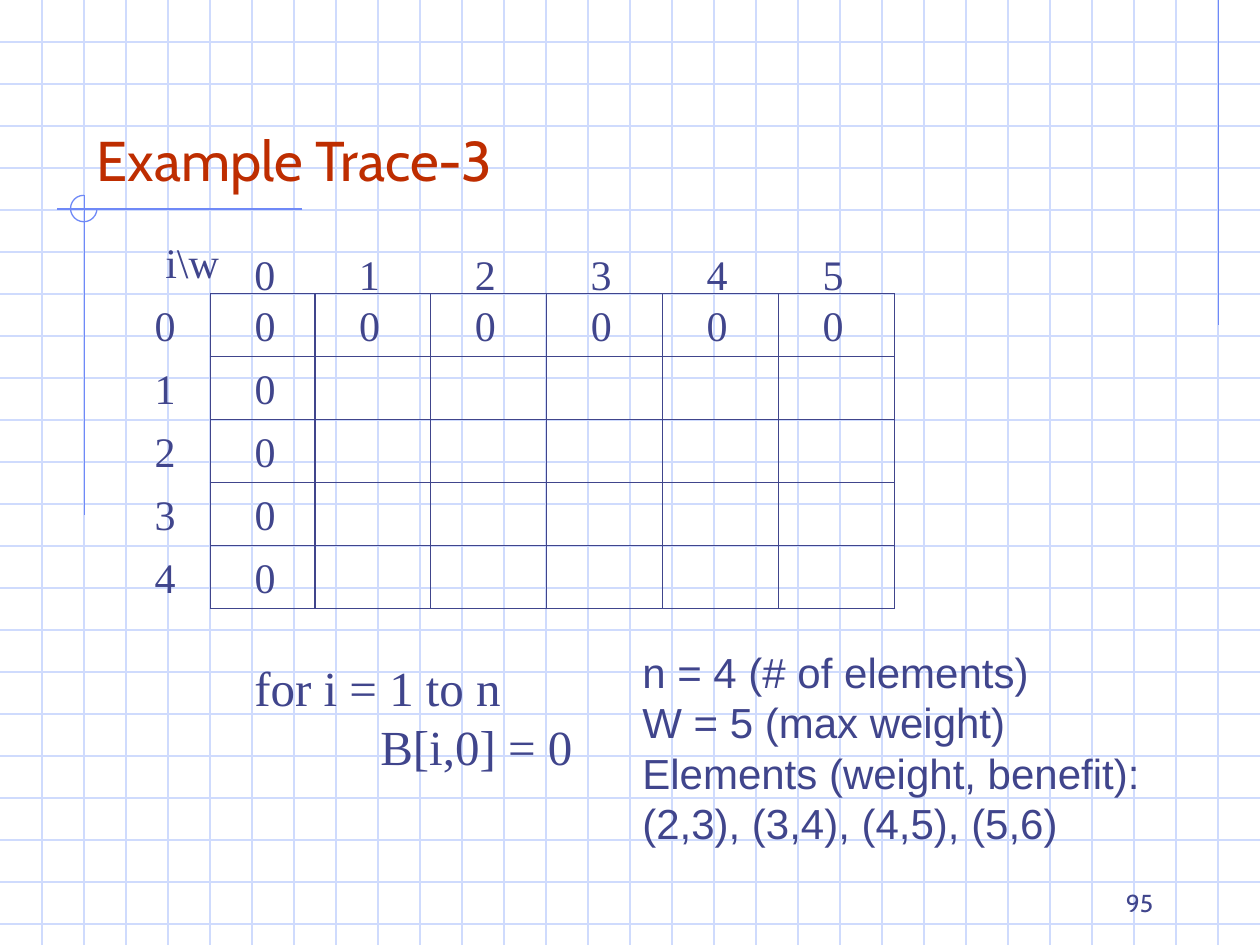
from lxml import etree
from pptx import Presentation
from pptx import util as u
from pptx.dml.color import RGBColor
from pptx.enum import shapes, text
from pptx.oxml import ns

GRID, ACCENT, INK, TITLE = "CFDBFD", "6F89F7", "40458C", "BE2D00"
SERIF = "Times New Roman"

deck = Presentation()
deck.slide_width, deck.slide_height = u.Inches(10), u.Inches(7.5)
slide = deck.slides.add_slide(deck.slide_layouts[6])


def add_line(x1, y1, x2, y2, color):
    line = slide.shapes.add_connector(
        shapes.MSO_CONNECTOR.STRAIGHT,
        u.Inches(x1), u.Inches(y1), u.Inches(x2), u.Inches(y2))
    line.line.color.rgb = RGBColor.from_string(color)
    line.line.width = u.Pt(0.75)
    etree.SubElement(line._element.spPr, ns.qn("a:effectLst"))


def add_text(frame, lines, size, font=SERIF, color=INK, align=None, spacing=None):
    for index, words in enumerate(lines):
        para = frame.paragraphs[0] if index == 0 else frame.add_paragraph()
        if words.startswith("\t"):
            tabs = etree.SubElement(para._p.get_or_add_pPr(), ns.qn("a:tabLst"))
            etree.SubElement(tabs, ns.qn("a:tab"), pos=str(u.Inches(1)), algn="l")
        para.alignment = align
        para.line_spacing = spacing
        run = para.add_run()
        run.text = words
        run.font.size = u.Pt(size)
        run.font.name = font
        run.font.color.rgb = RGBColor.from_string(color)


# Squared-paper background
for step in range(1, 23):
    add_line(0, step / 3, 10, step / 3, GRID)
for step in range(1, 30):
    add_line(step / 3, 0, step / 3, 7.5, GRID)

# Accent lines and the three-quarter circle where they cross
add_line(9.67, 0, 9.67, 2.58, ACCENT)
add_line(2.4, 1.66, 0.45, 1.66, ACCENT)
add_line(0.67, 1.55, 0.67, 4.09, ACCENT)
crossing = slide.shapes.add_shape(
    shapes.MSO_SHAPE.ARC, u.Inches(0.56), u.Inches(1.55), u.Inches(0.21), u.Inches(0.21))
crossing.adjustments[0] = 0
crossing.adjustments[1] = 162  # 270 degrees
crossing.shadow.inherit = False
crossing.fill.background()
crossing.line.color.rgb = RGBColor.from_string(ACCENT)
crossing.line.width = u.Pt(0.75)

# Benefit table: first row and first column are zero
column_widths = [0.83] + [0.92] * 5
row_count, row_height = 5, 0.5
table_left, table_top = 1.67, 2.33
benefits = slide.shapes.add_table(
    row_count, len(column_widths), u.Inches(table_left), u.Inches(table_top),
    u.Inches(sum(column_widths)), u.Inches(row_count * row_height)).table
benefits.first_row = benefits.horz_banding = False
for column, width in zip(benefits.columns, column_widths):
    column.width = u.Inches(width)
for i, row in enumerate(benefits.rows):
    row.height = u.Inches(row_height)
    for w, cell in enumerate(row.cells):
        cell.margin_left, cell.margin_right = u.Inches(0.35), u.Inches(0.1)
        cell.margin_top = cell.margin_bottom = u.Inches(0.05)
        for side in ("a:lnL", "a:lnR", "a:lnT", "a:lnB"):
            border = etree.SubElement(
                cell._tc.get_or_add_tcPr(), ns.qn(side), w=str(u.Pt(0.75)))
            paint = etree.SubElement(border, ns.qn("a:solidFill"))
            etree.SubElement(paint, ns.qn("a:srgbClr"), val=INK)
        cell.fill.background()
        if i == 0 or w == 0:
            add_text(cell.text_frame, ["0"], 24, spacing=u.Pt(28.8))

# Row and column labels
labels = [(str(i), 1.13, table_top + i * row_height) for i in range(row_count)]
labels += [(str(w), table_left + 0.25 + sum(column_widths[:w]), 1.92)
           for w in range(len(column_widths))]
for label, left, top in labels:
    box = slide.shapes.add_textbox(
        u.Inches(left), u.Inches(top), u.Inches(0.36), u.Inches(0.5))
    box.text_frame.word_wrap = False
    add_text(box.text_frame, [label], 24, spacing=u.Pt(28.8))

# Corner label, title, pseudocode, problem data and page number
left, center, right = text.PP_ALIGN.LEFT, text.PP_ALIGN.CENTER, text.PP_ALIGN.RIGHT
top, bottom = text.MSO_ANCHOR.TOP, text.MSO_ANCHOR.BOTTOM
problem = ["n = 4 (# of elements)", "W = 5 (max weight)",
           "Elements (weight, benefit):", "(2,3), (3,4), (4,5), (5,6)"]
blocks = [
    ((1.15, 1.83, 0.75, 0.5), top, ["i\\w"], 24, SERIF, INK, center, u.Pt(28.8)),
    ((0.67, 0.33, 8.5, 1.25), bottom, ["Example Trace-3"], 32, "Cabin", TITLE, left, None),
    ((1.92, 5.17, 3.75, 1.04), top, ["for i = 1 to n", "\tB[i,0] = 0"],
     28, SERIF, INK, left, u.Pt(33.6)),
    ((5, 5.08, 5, 1.7), top, problem, 24, "Arial", INK, left, u.Pt(28.8)),
    ((7.17, 6.83, 2.08, 0.5), bottom, ["95"], 14, "Cabin", INK, right, None),
]
for place, anchor, *content in blocks:
    box = slide.shapes.add_textbox(*[u.Inches(length) for length in place])
    box.text_frame.word_wrap = True
    box.text_frame.vertical_anchor = anchor
    add_text(box.text_frame, *content)

deck.save("out.pptx")
